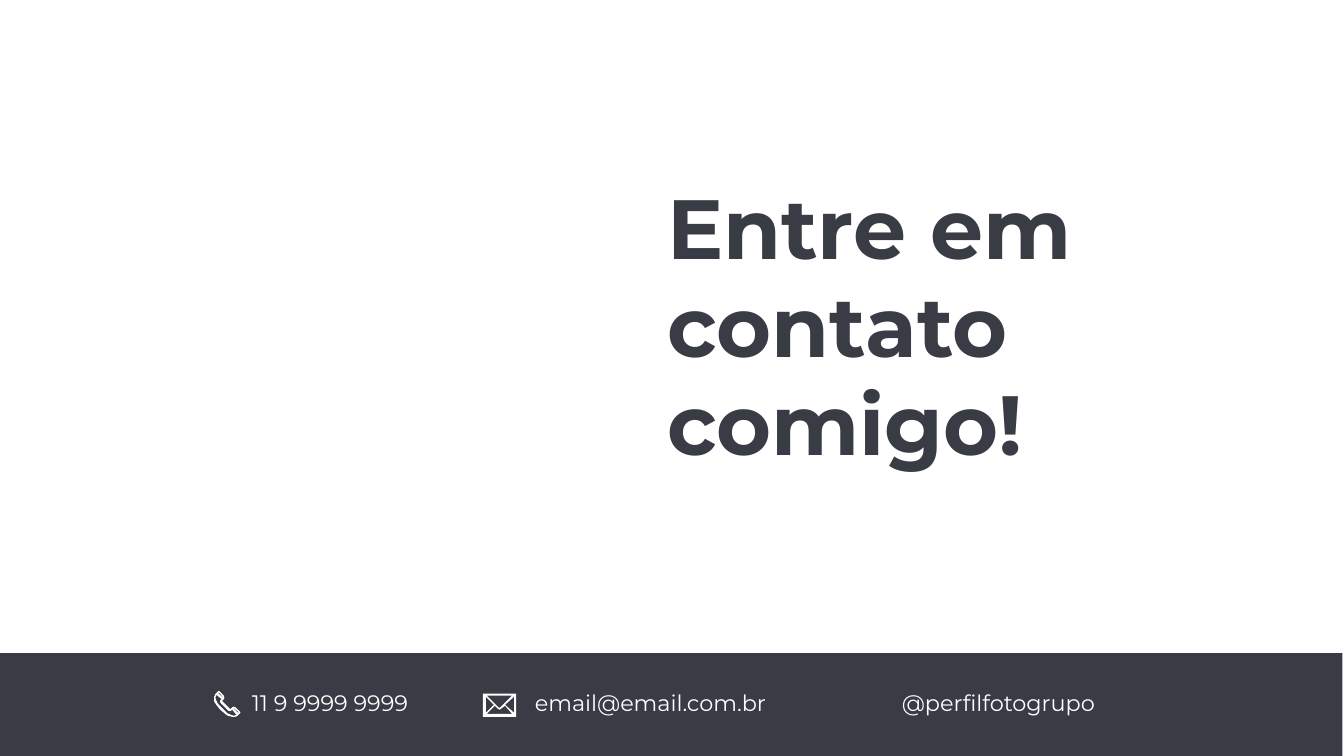
from pptx import Presentation
from pptx.dml.color import RGBColor
from pptx.enum.shapes import MSO_SHAPE
from pptx.enum.text import MSO_ANCHOR
from pptx.util import Cm, Pt

RECTANGLE = MSO_SHAPE.RECTANGLE
MIDDLE = MSO_ANCHOR.MIDDLE

COLORS = {"dark": "393B45", "white": "FFFFFF"}
TITLE_FORMAT = {"name": "Montserrat", "size": Pt(60), "bold": True}
CONTACT_FORMAT = {"name": "Montserrat", "size": Pt(16), "bold": False}

CONTACT_TOP = 17.27
CONTACT_HEIGHT = 0.94
CONTACTS = [  # left, width, text
    (6.1, 5.79, "11 9 9999 9999"),
    (13.23, 7.11, "email@email.com.br"),
    (22.48, 7.11, "@perfilfotogrupo"),
]

# Each icon is an outer contour followed by its holes, in hundredths of an inch.
ICON_UNIT = Cm(2.54) / 100
PHONE = [
    [(24, 20), (20, 16), (18, 16), (16, 18), (15, 18), (7, 10), (7, 9), (9, 7),
     (9, 5), (5, 1), (4, 0), (3, 1), (1, 3), (0, 6), (0, 10), (2, 13), (6, 18),
     (12, 23), (14, 24), (19, 25), (22, 24), (24, 22), (25, 21)],
    [(4, 1), (5, 1), (9, 6), (9, 7), (8, 7), (3, 2)],
    [(22, 24), (19, 25), (14, 23), (12, 22), (3, 13), (1, 9), (0, 6), (1, 4),
     (2, 3), (8, 8), (6, 9), (6, 11), (14, 19), (16, 19), (17, 17), (22, 23)],
    [(24, 22), (23, 22), (18, 17), (18, 16), (19, 16), (24, 20)],
]
ENVELOPE = [
    [(0, 0), (0, 23), (33, 23), (33, 0)],
    [(17, 14), (16, 14), (4, 2), (29, 2)],
    [(11, 11), (3, 19), (3, 3)],
    [(12, 12), (15, 15), (17, 16), (18, 15), (22, 12), (29, 20), (4, 20)],
    [(22, 11), (31, 3), (31, 19)],
]


def color(name):
    return RGBColor.from_string(COLORS[name])


def paint(shape, fill, line_width=None):
    shape.shadow.inherit = False
    shape.fill.solid()
    shape.fill.fore_color.rgb = color(fill)
    if line_width is None:
        shape.line.fill.background()
    else:
        shape.line.color.rgb = color(fill)
        shape.line.width = line_width


def add_bar(slide, left, top, width, height):
    bar = slide.shapes.add_shape(RECTANGLE, Cm(left), Cm(top), Cm(width), Cm(height))
    paint(bar, "dark")


def add_text(slide, left, top, width, height, text, font_color, font_format, line_spacing):
    box = slide.shapes.add_textbox(Cm(left), Cm(top), Cm(width), Cm(height))
    frame = box.text_frame
    frame.word_wrap = True
    frame.vertical_anchor = MIDDLE
    paragraph = frame.paragraphs[0]
    paragraph.line_spacing = line_spacing
    run = paragraph.add_run()
    run.text = text
    for attribute, value in font_format.items():
        setattr(run.font, attribute, value)
    run.font.color.rgb = color(font_color)


def add_icon(slide, left, top, contours, line_width=None):
    builder = slide.shapes.build_freeform(*contours[0][0], scale=ICON_UNIT)
    for contour in contours:
        if contour is not contours[0]:
            builder.move_to(*contour[0])
        builder.add_line_segments(contour[1:], close=True)
    paint(builder.convert_to_shape(Cm(left), Cm(top)), "white", line_width)


def main():
    presentation = Presentation()
    presentation.slide_width = Cm(33.87)
    presentation.slide_height = Cm(19.05)
    slide = presentation.slides.add_slide(presentation.slide_layouts[6])

    add_bar(slide, 0, 16.46, 33.83, 2.59)
    add_text(slide, 16.56, 4.34, 16.71, 7.7, "Entre em contato comigo!",
             "dark", TITLE_FORMAT, Pt(70))
    for left, width, text in CONTACTS:
        add_text(slide, left, CONTACT_TOP, width, CONTACT_HEIGHT, text,
                 "white", CONTACT_FORMAT, 0.9)
    add_icon(slide, 5.41, 17.42, PHONE, Pt(0.75))
    add_icon(slide, 12.17, 17.48, ENVELOPE)

    presentation.save("out.pptx")


if __name__ == "__main__":
    main()
